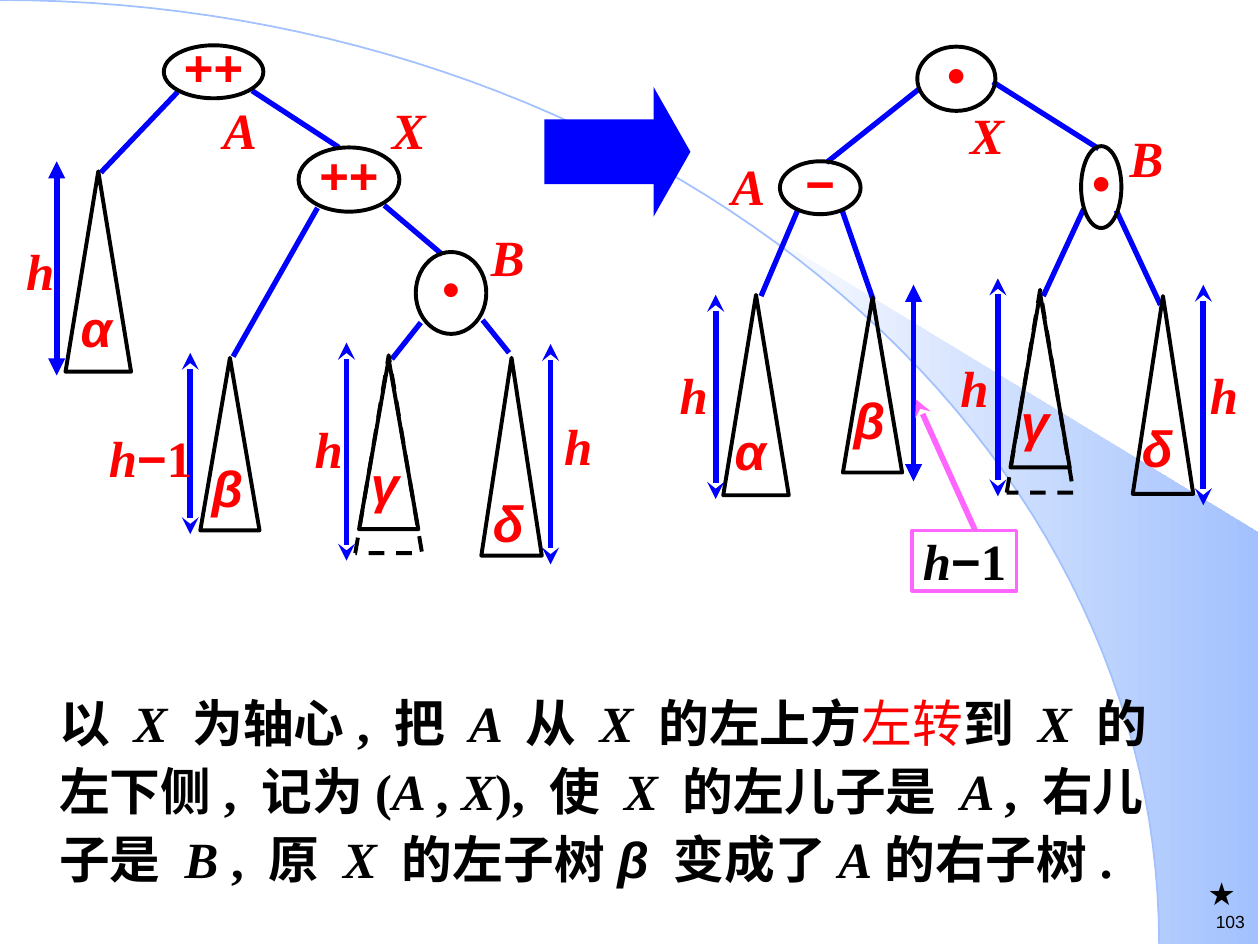
from dataclasses import dataclass
from math import cos, pi, sin

from lxml import etree
from pptx import Presentation
from pptx import util as u
from pptx.dml.color import RGBColor
from pptx.enum import dml, shapes, text
from pptx.oxml.ns import qn

COLUMNS = 100
CELL = u.Inches(10) // COLUMNS  # square cells: 100 columns by 75 rows


@dataclass(frozen=True)
class Theme:
    ink: str = "000000"
    accent: str = "FF0000"
    edge: str = "0000FF"
    callout: str = "FF66FF"
    sweep: str = "A2C1FE"
    white: str = "FFFFFF"
    serif: str = "Times New Roman"
    sans: str = "Arial"
    chinese: str = "Noto Sans CJK SC"
    main: float = 29
    star: float = 18
    number: float = 10
    outline: float = 2.25
    branch: float = 3
    measure: float = 3.25


THEME = Theme()
VARIABLES = set("ABXhαβγδ")
SANS_MARKS = set("αβγδ−•★") | {"++", "103"}


def cells(*lengths):
    return [round(length * CELL) for length in lengths]


def rgb(value):
    return RGBColor.from_string(value)


def write(para, markup, color, size=THEME.main, bold=True):
    """Fill a paragraph with spans parted by bars; variables turn italic."""
    for piece in markup.split("|"):
        span = para.add_run()
        span.text = piece
        mark = piece.strip()
        font = span.font
        font.name = THEME.sans if mark in SANS_MARKS else THEME.serif
        font.size, font.bold = u.Pt(size), bold
        font.italic = mark in VARIABLES
        font.color.rgb = rgb(color)


def set_frame(shape, anchor, margins=(0, 0, 0, 0)):
    frame = shape.text_frame
    frame.word_wrap = True
    frame.auto_size = text.MSO_AUTO_SIZE.NONE
    frame.vertical_anchor = anchor
    (frame.margin_left, frame.margin_top,
     frame.margin_right, frame.margin_bottom) = cells(*margins)
    return frame.paragraphs[0]


def add_label(page, box, markup, color=THEME.accent, size=THEME.main,
              bold=True, align=text.PP_ALIGN.CENTER, spacing=0.9):
    label = page.shapes.add_textbox(*cells(*box))
    para = set_frame(label, text.MSO_ANCHOR.TOP)
    para.alignment, para.line_spacing = align, spacing
    write(para, markup, color, size, bold)


def add_outline(page, kind, box, color=THEME.ink, width=THEME.outline):
    shape = page.shapes.add_shape(kind, *cells(*box))
    shape.shadow.inherit = False
    shape.fill.background()
    shape.line.color.rgb = rgb(color)
    shape.line.width = u.Pt(width)
    return shape


def add_node(page, box, markup, bold=True):
    node = add_outline(page, shapes.MSO_SHAPE.OVAL, box)
    para = set_frame(node, text.MSO_ANCHOR.MIDDLE)
    para.alignment, para.line_spacing = text.PP_ALIGN.CENTER, 0.8
    write(para, markup, THEME.accent, bold=bold)


def add_line(page, ends, color=THEME.edge, width=THEME.branch, head=None, tail=None):
    line = page.shapes.add_connector(shapes.MSO_CONNECTOR.STRAIGHT, *cells(*ends))
    line.line.color.rgb = rgb(color)
    line.line.width = u.Pt(width)
    for tag, arrow in (("a:headEnd", head), ("a:tailEnd", tail)):
        if arrow:
            etree.SubElement(line.line._get_or_add_ln(), qn(tag), type=arrow)
    etree.SubElement(line._element.spPr, qn("a:effectLst"))


def add_subtree(page, box, name, name_box, measure, arrow="stealth", grown=None):
    """Triangle with its name and height arrow (x, top, bottom); grown is dashed."""
    if grown:
        dashed = add_outline(page, shapes.MSO_SHAPE.ISOSCELES_TRIANGLE, grown)
        dashed.line.dash_style = dml.MSO_LINE.DASH
    add_outline(page, shapes.MSO_SHAPE.ISOSCELES_TRIANGLE, box)
    add_label(page, name_box, name)
    x, top, bottom = measure
    add_line(page, (x, top, x, bottom), width=THEME.measure, head=arrow, tail=arrow)


def add_tree(page, edges, nodes, subtrees, labels):
    for ends in edges:
        add_line(page, ends)
    for node in nodes:
        add_node(page, *node)
    for subtree in subtrees:
        add_subtree(page, *subtree)
    for box, markup in labels:
        add_label(page, box, markup)


def add_path(page, points, close):
    first, *rest = [cells(*point) for point in points]
    builder = page.shapes.build_freeform(*first)
    builder.add_line_segments(rest, close=close)
    path = builder.convert_to_shape()
    path.shadow.inherit = False
    return path


def add_background(page):
    def on_arc(angle):
        return 92 * sin(angle), 74.9 * (1 - cos(angle))

    steps = 60
    start = 0.695  # angle at which the band leaves the arc
    inner = [on_arc(start + (pi / 2 - start) * i / steps) for i in range(steps + 1)]
    band = add_path(page, [*inner, (99.9, 74.9), (99.9, 42.3)], close=True)
    band.line.fill.background()
    band.fill.gradient()
    band.fill.gradient_angle = 0
    for stop, color, place in zip(band.fill.gradient_stops,
                                  (THEME.white, THEME.sweep), (0, 1)):
        stop.color.rgb, stop.position = rgb(color), place
    arc = add_path(page, [on_arc(pi / 2 * i / steps) for i in range(steps + 1)], close=False)
    arc.fill.background()
    arc.line.color.rgb, arc.line.width = rgb(THEME.sweep), u.Pt(1)


def add_description(page, body, markup):
    page.shapes._spTree.append(body._element)  # in front of the background
    body.left, body.top, body.width, body.height = cells(3.7, 54.3, 89.5, 16.8)
    para = set_frame(body, text.MSO_ANCHOR.TOP, (1, 0, 0, 0.5))
    props = para._p.get_or_add_pPr()
    props.set("marL", "0")
    props.set("indent", "0")
    etree.SubElement(props, qn("a:buNone"))
    para.line_spacing, para.space_before = u.Pt(39), u.Pt(0)
    para.alignment = text.PP_ALIGN.LEFT
    write(para, markup, THEME.ink)
    for span in para.runs:
        if span.text == "左转":
            span.font.name, span.font.bold = THEME.chinese, False
            span.font.color.rgb = rgb(THEME.accent)
        etree.SubElement(span._r.get_or_add_rPr(), qn("a:ea"), typeface=THEME.chinese)


def add_rotation_arrow(page):
    arrow = add_outline(page, shapes.MSO_SHAPE.RIGHT_ARROW, (43.2, 6.9, 11.6, 10.3))
    arrow.adjustments[1] = 0.284
    arrow.fill.solid()
    arrow.fill.fore_color.rgb = rgb(THEME.edge)
    arrow.line.fill.background()


def add_callout(page):
    add_line(page, (77.4, 42.1, 72.7, 31.7), THEME.callout, THEME.measure, tail="stealth")
    box = add_outline(page, shapes.MSO_SHAPE.RECTANGLE, (72.4, 42.1, 8.3, 4.8),
                      THEME.callout, 2)
    para = set_frame(box, text.MSO_ANCHOR.MIDDLE, (0.4, 0, 0.4, 0))
    para.alignment = text.PP_ALIGN.CENTER
    write(para, "h|−|1", THEME.ink)


def main():
    deck = Presentation()
    deck.slide_width, deck.slide_height = cells(COLUMNS, 75)
    page = deck.slides.add_slide(deck.slide_layouts[1])
    title = page.shapes.title._element
    title.getparent().remove(title)
    add_background(page)
    add_tree(
        page,
        edges=[(30.5, 16.3, 35.1, 20.2), (14.1, 7.3, 8, 13.7), (25.2, 16.5, 18.5, 28.3),
               (20, 7.2, 26.9, 11.7), (33.4, 25.6, 31.1, 28.5), (38.3, 25.4, 40.4, 28)],
        nodes=[((13, 3.6, 7.9, 4.2), "++"), ((23.7, 11.7, 8, 5.1), "++"),
               ((33, 20, 5.6, 6.5), "•", False)],
        subtrees=[
            ((5.2, 13.6, 5.2, 15.9), "α", (6, 24.1, 3.3, 4.5), (4.5, 12.8, 29.8), "triangle"),
            ((15.9, 28.4, 4.7, 13.7), "β", (16.2, 36.8, 3.7, 4.2), (15.1, 28, 42.4)),
            ((28.5, 28.5, 4.7, 13.5), "γ", (28.9, 36.5, 3.3, 4.6), (27.5, 27.2, 44.5),
             "stealth", (28.2, 28.2, 5.3, 15.7)),
            ((38.2, 28.4, 4.8, 15.7), "δ", (38.9, 39.6, 2.9, 3.5), (43.7, 27.3, 44.8))],
        labels=[((16.3, 8.4, 5.5, 4.3), "A"), ((30.5, 8.4, 3.9, 4), "X"),
                ((38.4, 18.5, 3.8, 4.4), "B"), ((1.4, 19.6, 3.6, 4.6), "h"),
                ((8, 34.4, 7.9, 4.8), "h|−|1"), ((24.3, 33.7, 3.6, 4.3), "h"),
                ((44.1, 33.5, 3.6, 4.8), "h")])
    add_tree(
        page,
        edges=[(78.8, 6.5, 87.2, 11.8), (63.3, 16.7, 60.4, 23.5), (72.9, 7.1, 65.6, 12.9),
               (66.8, 16.6, 69.3, 23.8), (86, 16.6, 82.8, 23.5), (88.6, 16.7, 92.1, 24.2)],
        nodes=[((61.9, 12.8, 6.4, 4.2), "−"), ((72.8, 3.7, 6.2, 5.1), "•"),
               ((85.8, 11.6, 3.2, 6.5), "•")],
        subtrees=[
            ((57.4, 23.4, 5.2, 15.9), "α", (57.5, 33.9, 4.1, 4.4), (56.8, 23.4, 39.6)),
            ((66.9, 23.6, 4.7, 13.9), "β", (67.1, 31.4, 3.8, 3.7), (72.5, 22.6, 38.2),
             "triangle"),
            ((80.2, 23.3, 4.7, 13.8), "γ", (80.5, 31.6, 3.3, 5.2), (79.2, 22.1, 39.4),
             "stealth", (79.9, 23, 5.3, 16.1)),
            ((89.9, 23.5, 4.8, 15.7), "δ", (90.3, 33.6, 3.1, 4.4), (95.5, 22.6, 40.1))],
        labels=[((57.4, 12.8, 4, 4.4), "A"), ((76.3, 8.8, 4.1, 4.4), "X"),
                ((89, 10.6, 4, 4.4), "B"), ((53.5, 29.4, 3.1, 4.4), "h"),
                ((75.8, 28.9, 3.1, 4.4), "h"), ((95.6, 29.4, 3.1, 4.4), "h")])
    add_description(
        page, page.placeholders[1],
        "以 |X |为轴心, 把 |A |从 |X |的左上方|左转|到 |X |的左下侧, 记为(|A |, |X|), 使 |X |"
        "的左儿子是 |A |, 右儿子是 |B |, 原 |X |的左子树|β| 变成了|A|的右子树.")
    add_rotation_arrow(page)
    add_callout(page)
    add_label(page, (95.7, 69.4, 2.5, 3), "★", THEME.ink, THEME.star, False, spacing=1)
    add_label(page, (94.3, 72.3, 4.5, 1.8), "103", THEME.ink, THEME.number, False,
              text.PP_ALIGN.RIGHT, 1)
    deck.save("out.pptx")


if __name__ == "__main__":
    main()
